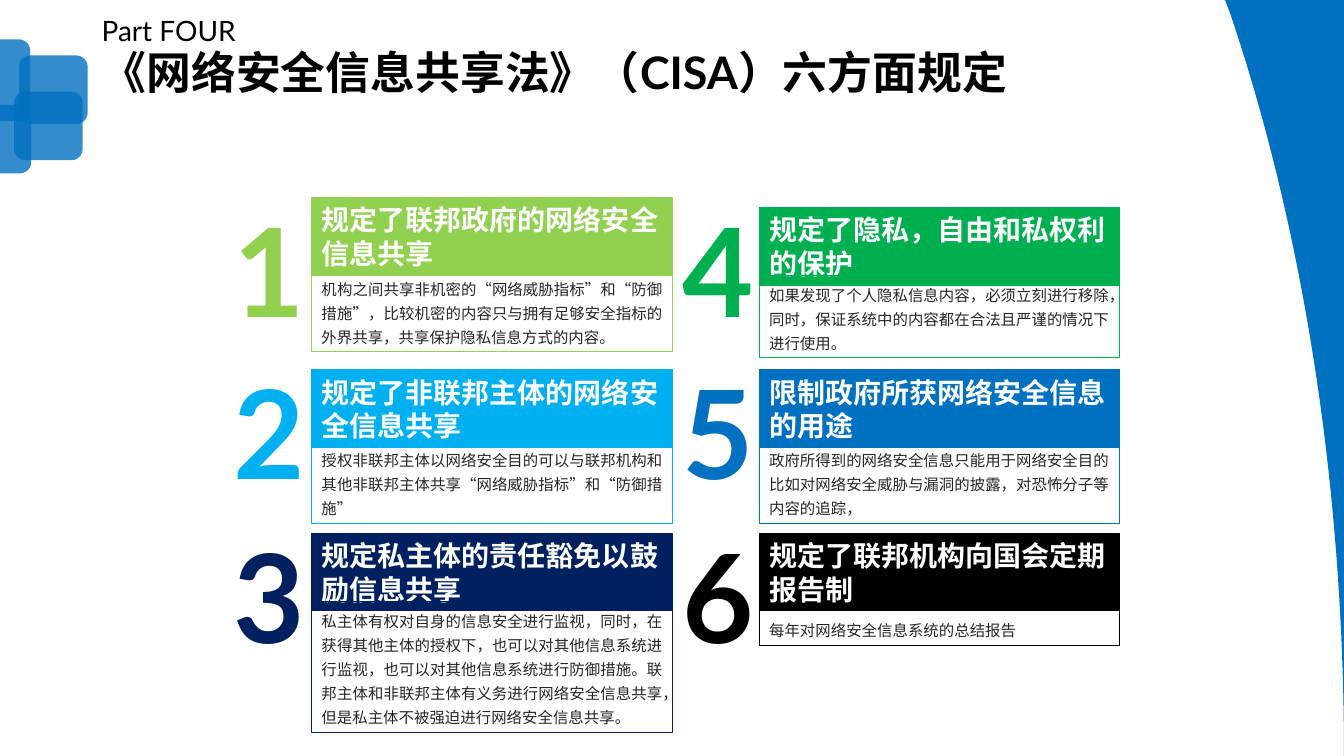
"""Build the slide on the six provisions of the CISA act."""
from dataclasses import dataclass

from lxml import etree
from pptx import Presentation
from pptx.dml.color import RGBColor
from pptx.enum.shapes import MSO_SHAPE
from pptx.enum.text import MSO_ANCHOR, MSO_AUTO_SIZE, PP_ALIGN
from pptx.oxml.ns import qn
from pptx.util import Inches, Pt

RECTANGLE = MSO_SHAPE.RECTANGLE
ROUNDED = MSO_SHAPE.ROUNDED_RECTANGLE
TOP, MIDDLE = MSO_ANCHOR.TOP, MSO_ANCHOR.MIDDLE
LEFT, JUSTIFY = PP_ALIGN.LEFT, PP_ALIGN.JUSTIFY
GROW = MSO_AUTO_SIZE.SHAPE_TO_FIT_TEXT


@dataclass(frozen=True)
class Theme:
    font: str = "Lato"
    blue: str = "0070C0"
    black: str = "000000"
    white: str = "FFFFFF"
    body: str = "262626"
    title_size: int = 32
    part_size: int = 20
    number_size: int = 88
    heading_size: int = 20
    body_size: int = 11
    card_colors: tuple = ("92D050", "00B0F0", "002060", "00B050", "0070C0", "000000")


theme = Theme()


def write(shape, text, size, color, bold=False, wrap=True, anchor=TOP, align=LEFT, spacing=1.0):
    """Fill a shape with one formatted paragraph."""
    frame = shape.text_frame
    frame_format = {"word_wrap": wrap, "auto_size": GROW, "vertical_anchor": anchor}
    for name, value in frame_format.items():
        setattr(frame, name, value)
    paragraph = frame.paragraphs[0]
    paragraph.alignment = align
    paragraph.line_spacing = spacing
    run = paragraph.add_run()
    run.text = text
    for name, value in {"name": theme.font, "size": Pt(size), "bold": bold}.items():
        setattr(run.font, name, value)
    run.font.color.rgb = RGBColor.from_string(color)


def add_box(kind, left, top, width, height, fill=None, line=None):
    """Add a preset shape with optional fill and outline."""
    shape = slide.shapes.add_shape(kind, Inches(left), Inches(top), Inches(width), Inches(height))
    shape.shadow.inherit = False
    if fill:
        shape.fill.solid()
        shape.fill.fore_color.rgb = RGBColor.from_string(fill)
    else:
        shape.fill.background()
    if line:
        shape.line.color.rgb = RGBColor.from_string(line)
        shape.line.width = Pt(0.75)
    else:
        shape.line.fill.background()
    return shape


presentation = Presentation()
presentation.slide_width = Inches(13.33)
presentation.slide_height = Inches(7.5)
slide = presentation.slides.add_slide(presentation.slide_layouts[6])

for left, top, height in [(-0.38, 0.39, 0.81), (0.19, 0.55, 0.68), (0.14, 0.91, 0.68), (-0.37, 1.04, 0.68)]:
    tile = add_box(ROUNDED, left, top, 0.68, height, fill=theme.blue)
    color = tile.fill._xPr.find(qn("a:solidFill"))[0]
    etree.SubElement(color, qn("a:alpha"), val="80000")

curve = [(13.33, 7.5), (13.33, 4.77), (12.91, 2.23), (12.2, 0.13)]
steps = 40
arc = []
for step in range(steps + 1):
    t = step / steps
    weights = ((1 - t) ** 3, 3 * t * (1 - t) ** 2, 3 * t ** 2 * (1 - t), t ** 3)
    arc.append(tuple(Inches(sum(w * point[axis] for w, point in zip(weights, curve))) for axis in (0, 1)))
builder = slide.shapes.build_freeform(Inches(12.15), 0)
builder.add_line_segments([(Inches(13.33), 0)] + arc, close=True)
edge = builder.convert_to_shape()
edge.shadow.inherit = False
edge.fill.solid()
edge.fill.fore_color.rgb = RGBColor.from_string(theme.blue)
edge.line.fill.background()

titles = [
    ("《网络安全信息共享法》（CISA）六方面规定", 0.45, 12.11, 0.58, theme.title_size, True),
    ("Part FOUR", 0.12, 3.25, 0.4, theme.part_size, False),
]
for text, top, width, height, size, bold in titles:
    box = slide.shapes.add_textbox(Inches(0.91), Inches(top), Inches(width), Inches(height))
    write(box, text, size, theme.black, bold=bold, spacing=0.9)

columns = [(2.22, 3.09, 3.58), (6.67, 7.53, 3.57)]
number_tops = [1.88, 3.49, 5.11]
cards = [
    ("规定了联邦政府的网络安全信息共享", 1.96, 2.67, 0.82,
     "机构之间共享非机密的“网络威胁指标”和“防御措施”，比较机密的内容只与拥有足够安全指标的外界共享，共享保护隐私信息方式的内容。"),
    ("规定了非联邦主体的网络安全信息共享", 3.67, 4.37, 0.82,
     "授权非联邦主体以网络安全目的可以与联邦机构和其他非联邦主体共享“网络威胁指标”和“防御措施”"),
    ("规定私主体的责任豁免以鼓励信息共享", 5.29, 5.97, 1.3,
     "私主体有权对自身的信息安全进行监视，同时，在获得其他主体的授权下，也可以对其他信息系统进行监视，"
     "也可以对其他信息系统进行防御措施。联邦主体和非联邦主体有义务进行网络安全信息共享，"
     "但是私主体不被强迫进行网络安全信息共享。"),
    ("规定了隐私，自由和私权利的保护", 2.06, 2.73, 0.82,
     "如果发现了个人隐私信息内容，必须立刻进行移除，同时，保证系统中的内容都在合法且严谨的情况下进行使用。"),
    ("限制政府所获网络安全信息的用途", 3.67, 4.37, 0.82,
     "政府所得到的网络安全信息只能用于网络安全目的比如对网络安全威胁与漏洞的披露，对恐怖分子等内容的追踪，"),
    ("规定了联邦机构向国会定期报告制", 5.29, 6.06, 0.34, "每年对网络安全信息系统的总结报告"),
]
for index, (heading, heading_top, body_top, body_height, body) in enumerate(cards):
    column, row = divmod(index, 3)
    number_left, card_left, card_width = columns[column]
    color = theme.card_colors[index]
    number = slide.shapes.add_textbox(
        Inches(number_left), Inches(number_tops[row]), Inches(0.9), Inches(1.58))
    write(number, str(index + 1), theme.number_size, color, bold=True, wrap=False)
    heading_box = add_box(RECTANGLE, card_left, heading_top, card_width, 0.77, color, color)
    write(heading_box, heading, theme.heading_size, theme.white, bold=True, anchor=MIDDLE)
    body_box = add_box(RECTANGLE, card_left, body_top, card_width, body_height, line=color)
    write(body_box, body, theme.body_size, theme.body, align=JUSTIFY, spacing=1.3)

presentation.save("out.pptx")
